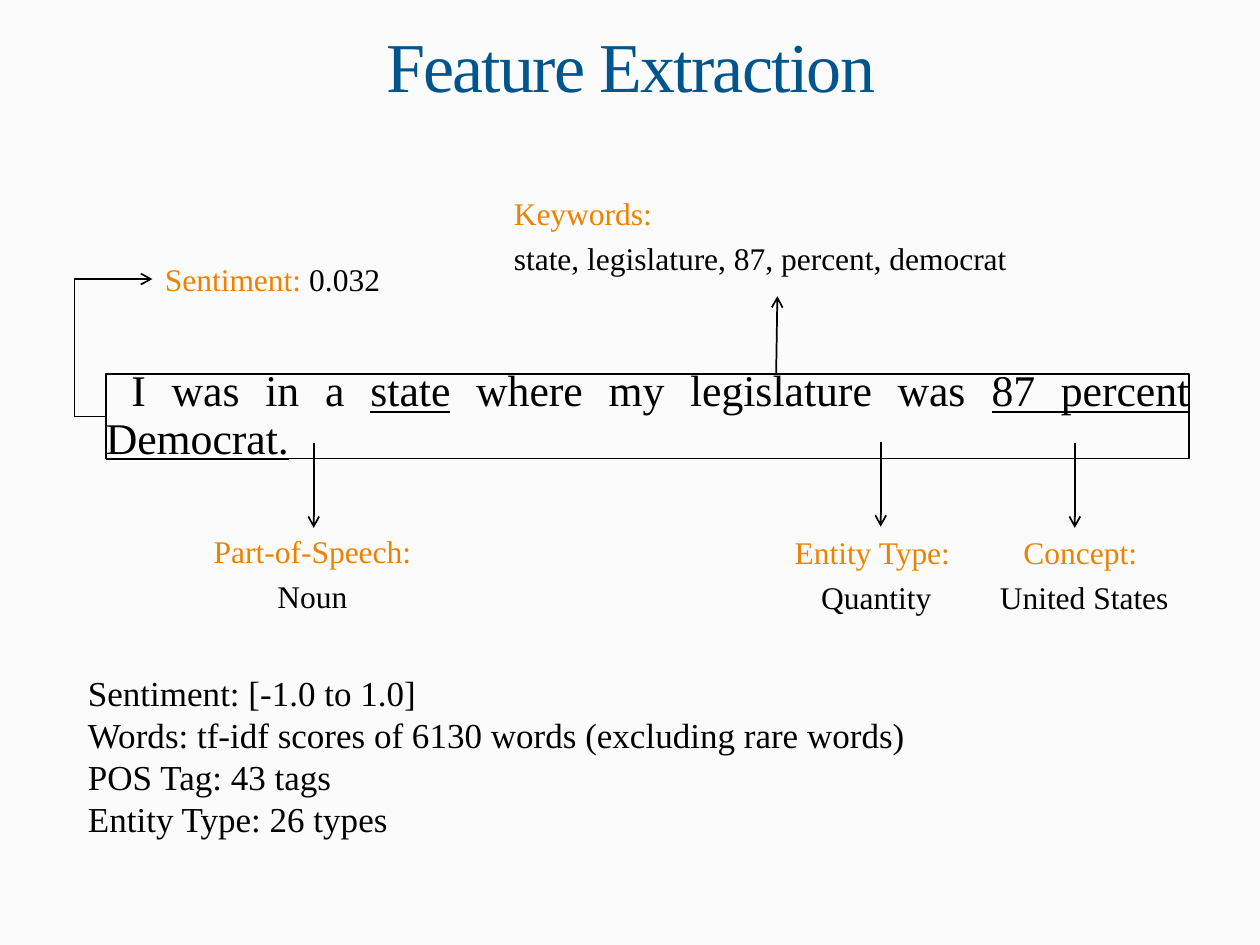
from lxml import etree
from pptx import Presentation
from pptx import util as u
from pptx.dml.color import RGBColor
from pptx.enum import shapes, text
from pptx.oxml.ns import qn

FONT = "Times New Roman"
BLUE = RGBColor(0x00, 0x55, 0x8D)
ORANGE = RGBColor(0xEE, 0x82, 0x00)
BLACK = RGBColor(0, 0, 0)
PAPER = RGBColor(0xFB, 0xFB, 0xFB)
CENTER, LEFT = text.PP_ALIGN.CENTER, text.PP_ALIGN.LEFT
TOP, MIDDLE = text.MSO_ANCHOR.TOP, text.MSO_ANCHOR.MIDDLE

deck = Presentation()
deck.slide_width, deck.slide_height = u.Inches(10), u.Inches(7.5)
CELL = deck.slide_width / 100  # grid of 100 columns and 75 rows


def grid(*cells):
    return [round(cell * CELL) for cell in cells]


def add_span(para, words, size, color):
    span = para.add_run()
    span.text = words
    span.font.name, span.font.size = FONT, u.Pt(size)
    span.font.color.rgb = color
    return span


page = deck.slides.add_slide(deck.slide_layouts[5])
page.background.fill.solid()
page.background.fill.fore_color.rgb = PAPER

# Title
title = page.shapes.title
title.left, title.top, title.width, title.height = grid(4.3, 2.5, 91.5, 6.1)
frame = title.text_frame
frame.margin_left = frame.margin_top = frame.margin_right = frame.margin_bottom = 0
frame.auto_size = text.MSO_AUTO_SIZE.SHAPE_TO_FIT_TEXT
para = frame.paragraphs[0]
para.alignment, para.line_spacing = CENTER, 0.9
span = add_span(para, "Feature Extraction", 40, BLUE)
span.font._element.set("spc", "-100")

# Example sentence
sentence = page.shapes.add_shape(shapes.MSO_SHAPE.RECTANGLE, *grid(8.4, 29.7, 86, 6.7))
sentence.shadow.inherit = False
sentence.fill.background()
sentence.line.color.rgb, sentence.line.width = BLACK, u.Pt(1)
frame = sentence.text_frame
frame.margin_left = frame.margin_top = frame.margin_right = frame.margin_bottom = 0
frame.vertical_anchor = MIDDLE
para = frame.paragraphs[0]
para.alignment, para.line_spacing = text.PP_ALIGN.JUSTIFY, 0.9
pieces = [" I was in a ", "state", " where my legislature was ", "87 percent", " ", "Democrat."]
for index, words in enumerate(pieces):
    add_span(para, words, 25, BLACK).font.underline = index % 2 == 1

# Feature labels: cells, alignment, anchor, lines of (words, color)
labels = [
    ((61.4, 41.8, 16.3, 10.9), CENTER, TOP, [[("Entity Type: ", ORANGE)], [("Quantity", BLACK)]]),
    ((15.7, 41.7, 18.2, 9.8), CENTER, TOP, [[("Part-of-Speech: ", ORANGE)], [("Noun", BLACK)]]),
    ((76.5, 41.8, 19.1, 10.5), CENTER, TOP, [[("Concept: ", ORANGE)], [("United States", BLACK)]]),
    ((39.8, 14.5, 44, 8.4), LEFT, MIDDLE,
     [[("Keywords:", ORANGE)], [("state, legislature, 87, percent, democrat", BLACK)]]),
    ((12.1, 18.8, 24.2, 6.7), LEFT, MIDDLE, [[("Sentiment: ", ORANGE), ("0.032", BLACK)]]),
]
for cells, alignment, anchor, lines in labels:
    box = page.shapes.add_textbox(*grid(*cells))
    frame = box.text_frame
    frame.word_wrap, frame.vertical_anchor = True, anchor
    for index, line in enumerate(lines):
        para = frame.add_paragraph() if index else frame.paragraphs[0]
        para.alignment, para.space_before = alignment, u.Pt(4.4)
        for words, color in line:
            add_span(para, words, 18, color)
sentiment = box  # the last label

# Arrows from the sentence to its features
STRAIGHT, ELBOW = shapes.MSO_CONNECTOR.STRAIGHT, shapes.MSO_CONNECTOR.ELBOW
arrows = [
    (STRAIGHT, 69.9, 35.1, 69.9, 41.8),
    (STRAIGHT, 85.3, 35.2, 85.3, 41.9),
    (STRAIGHT, 24.9, 35.2, 24.9, 41.9),
    (STRAIGHT, 61.6, 29.7, 61.7, 23.5),
    (ELBOW, 8.4, 33.1, 12.1, 22.1),
]
for kind, *ends in arrows:
    arrow = page.shapes.add_connector(kind, *grid(*ends))
    arrow.line.color.rgb, arrow.line.width = BLACK, u.Pt(1)
    properties = arrow._element.spPr
    etree.SubElement(properties.find(qn("a:ln")), qn("a:tailEnd"), type="arrow")
    etree.SubElement(properties, qn("a:effectLst"))
    if kind == ELBOW:
        arrow.begin_connect(sentence, 1)
        arrow.end_connect(sentiment, 1)
        bend = properties.find(qn("a:prstGeom")).find(qn("a:avLst"))
        etree.SubElement(bend, qn("a:gd"), name="adj1", fmla="val -67100")

# Feature summary
summary = page.shapes.add_textbox(*grid(6, 52.8, 80, 14.5))
frame = summary.text_frame
frame.word_wrap = True
frame.auto_size = text.MSO_AUTO_SIZE.SHAPE_TO_FIT_TEXT
facts = [
    "Sentiment: [-1.0 to 1.0]",
    "Words: tf-idf scores of 6130 words (excluding rare words)",
    "POS Tag: 43 tags",
    "Entity Type: 26 types",
]
for index, fact in enumerate(facts):
    para = frame.add_paragraph() if index else frame.paragraphs[0]
    add_span(para, fact, 20, BLACK)

deck.save("out.pptx")
